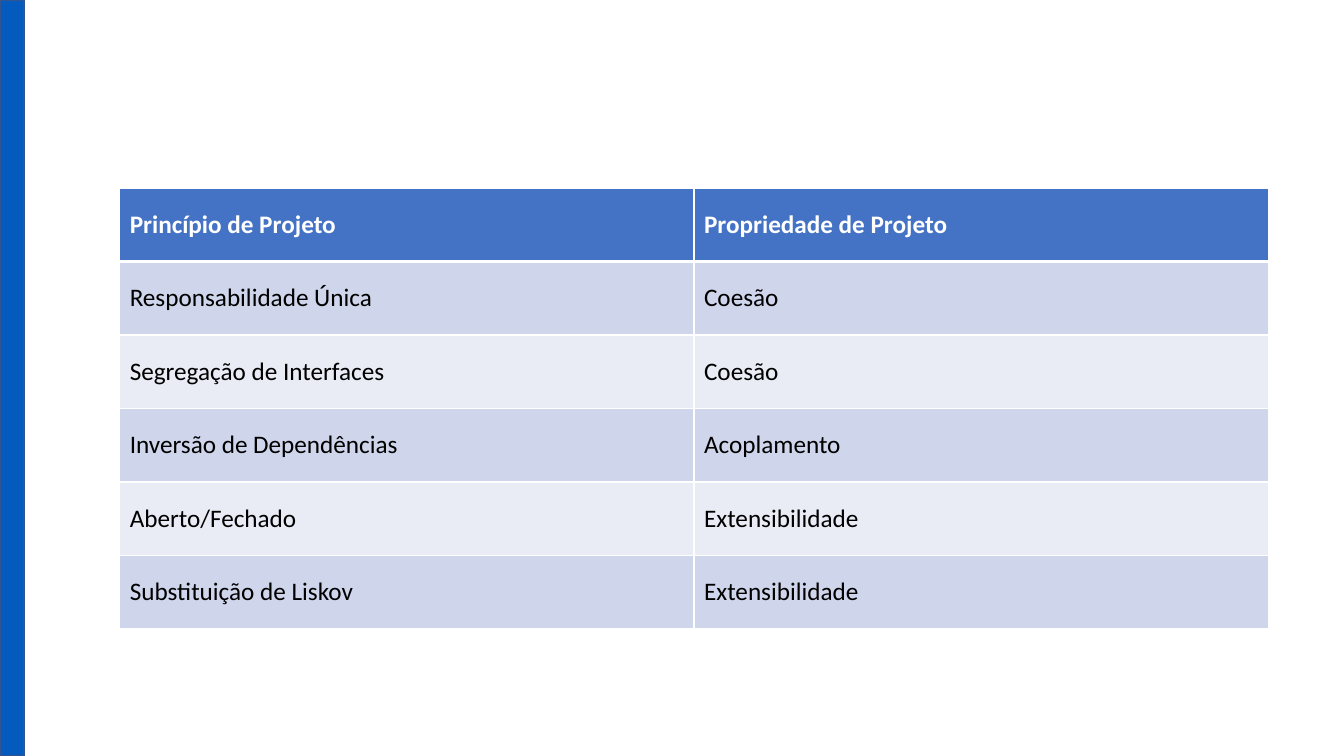
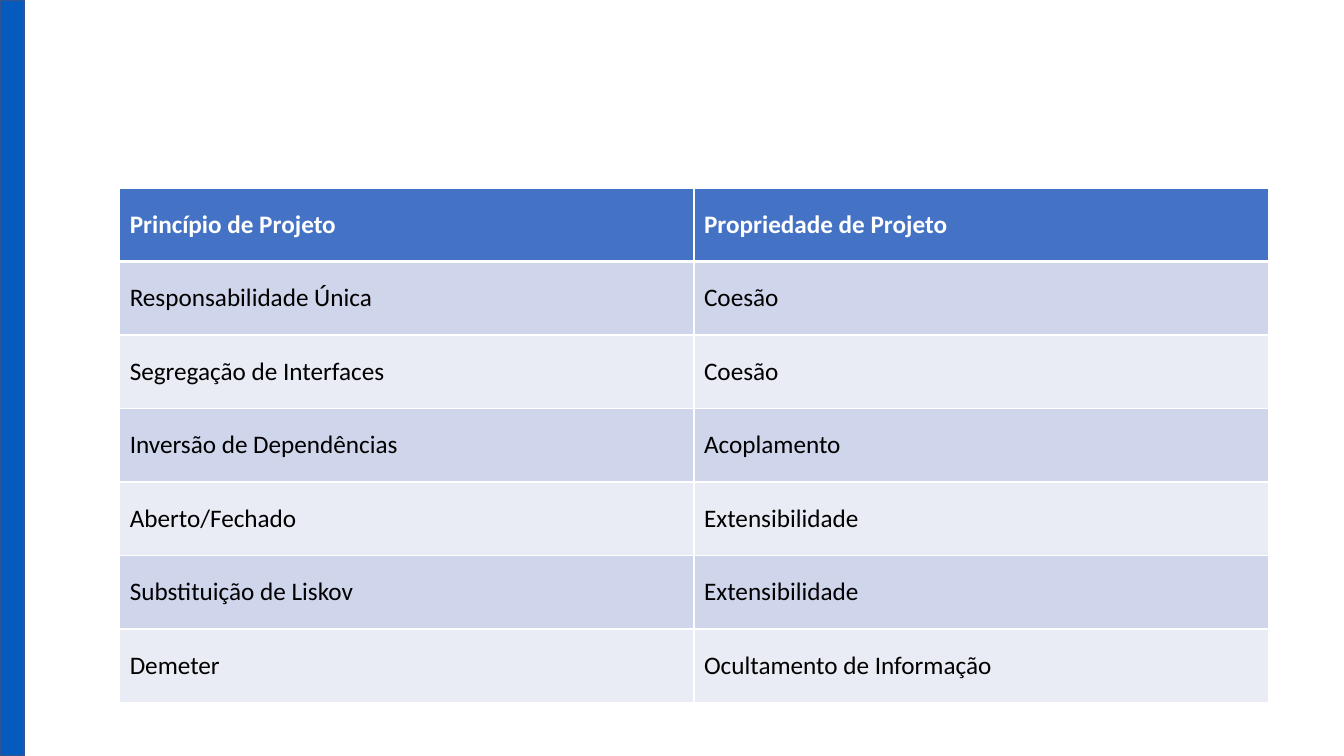
from lxml import etree
from pptx import Presentation
from pptx import util as u
from pptx.dml.color import RGBColor
from pptx.enum import shapes, text
from pptx.oxml.ns import qn

PX = 9525  # EMU per px, on a 1280 x 720 slide
SLIDE_W, SLIDE_H = 1280, 720
FONT = "Calibri"
WHITE, BLACK = "FFFFFF", "000000"
BAND_FILL, BAND_LINE = "045ABD", "325491"
HEADER_FILL = "4472C4"
STRIPES = ["E9EBF5", "CFD5EA"]

HEADER = ("Princípio de Projeto", "Propriedade de Projeto")
SOLID = [
    ("Responsabilidade Única", "Coesão"),
    ("Segregação de Interfaces", "Coesão"),
    ("Inversão de Dependências", "Acoplamento"),
    ("Aberto/Fechado", "Extensibilidade"),
    ("Substituição de Liskov", "Extensibilidade"),
]
DEMETER = ("Demeter", "Ocultamento de Informação")


def px(n):
    return u.Emu(n * PX)


def paint(fill, color):
    fill.solid()
    fill.fore_color.rgb = RGBColor.from_string(color)


def write(tf, content, size=18, color=BLACK, bold=False):
    r = tf.paragraphs[0].add_run()
    r.text = content
    r.font.name, r.font.size, r.font.bold = FONT, u.Pt(size), bold
    r.font.color.rgb = RGBColor.from_string(color)


def add_band(slide):
    sp = slide.shapes.add_shape(shapes.MSO_SHAPE.RECTANGLE, 0, 0, px(23), px(SLIDE_H))
    sp.shadow.inherit = False
    paint(sp.fill, BAND_FILL)
    paint(sp.line.fill, BAND_LINE)
    sp.line.width = u.Pt(1)


def set_borders(cell, color=WHITE, **widths):
    tc_pr = cell._tc.get_or_add_tcPr()
    for side in "LRTB":  # order required by the schema
        ln = etree.SubElement(tc_pr, qn(f"a:ln{side}"), w=str(u.Pt(widths.get(side, 1))))
        fill = etree.SubElement(ln, qn("a:solidFill"))
        etree.SubElement(fill, qn("a:srgbClr"), val=color)


def add_table(slide, rows, left=114, top=179, col_w=547, row_h=70):
    n_cols = len(rows[0])
    frame = slide.shapes.add_table(len(rows), n_cols, px(left), px(top),
                                   px(col_w * n_cols), px(row_h * len(rows)))
    for i, row in enumerate(rows):
        is_header = i == 0
        for j, content in enumerate(row):
            cell = frame.table.cell(i, j)
            cell.vertical_anchor = text.MSO_ANCHOR.MIDDLE
            # Heavy rule between header and body
            set_borders(cell, T=3 if i == 1 else 1, B=3 if is_header else 1)
            paint(cell.fill, HEADER_FILL if is_header else STRIPES[i % 2])
            write(cell.text_frame, content, bold=is_header,
                  color=WHITE if is_header else BLACK)


def main():
    prs = Presentation()
    prs.slide_width, prs.slide_height = px(SLIDE_W), px(SLIDE_H)
    layout = prs.slide_layouts.get_by_name("Blank")

    # Principles and their properties, without and with Demeter
    for body in (SOLID, SOLID + [DEMETER]):
        slide = prs.slides.add_slide(layout)
        add_band(slide)
        add_table(slide, [HEADER] + body)

    prs.save("out.pptx")


if __name__ == "__main__":
    main()
